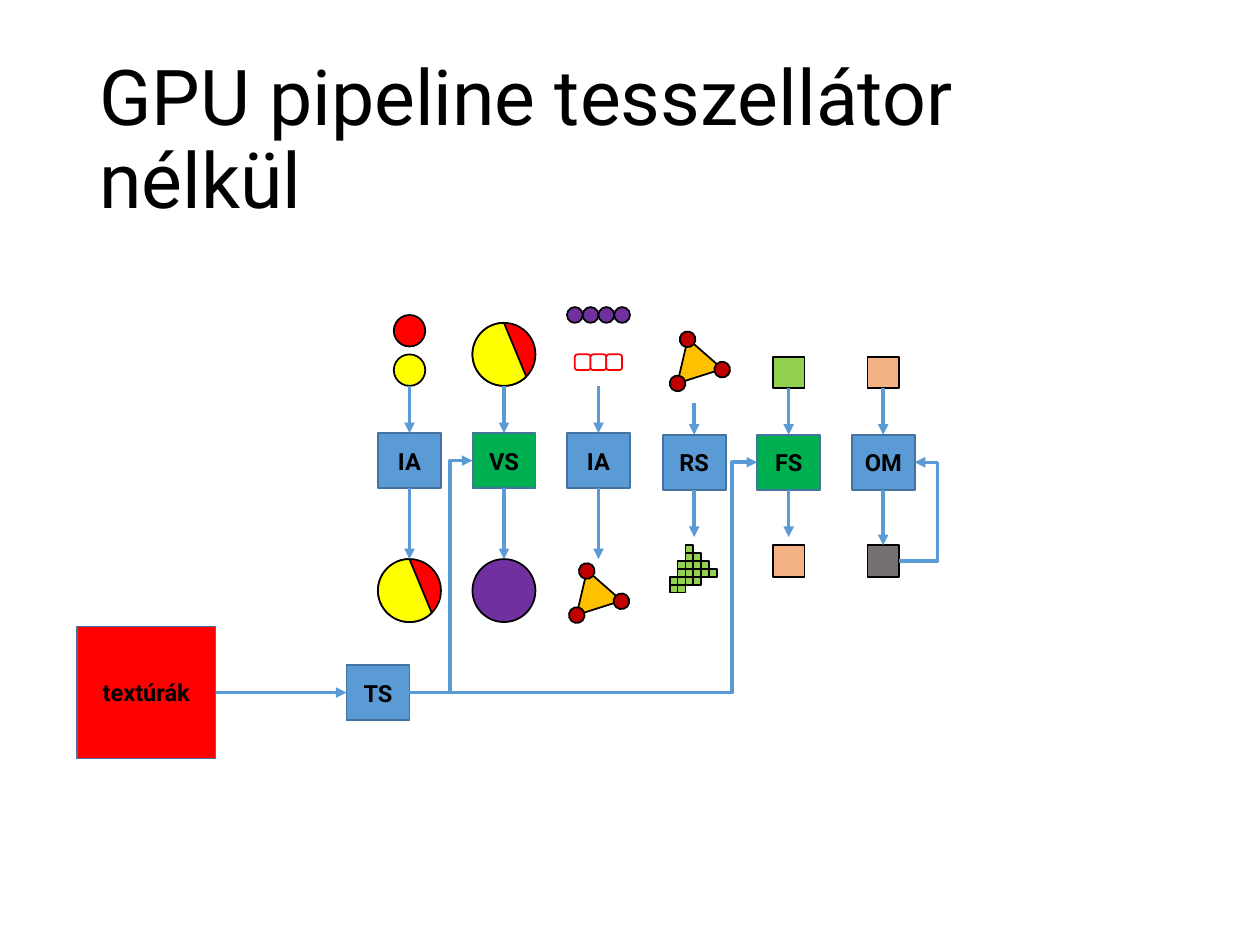
"""Build the slide showing the GPU pipeline without a tessellator."""
import lxml.etree
import pptx
import pptx.dml.color
import pptx.enum.shapes
import pptx.enum.text
import pptx.oxml.ns
import pptx.util

Pt = pptx.util.Pt
SHAPE = pptx.enum.shapes.MSO_SHAPE
CONNECTOR = pptx.enum.shapes.MSO_CONNECTOR
ALIGN = pptx.enum.text.PP_ALIGN
ANCHOR = pptx.enum.text.MSO_ANCHOR

TITLE = "GPU pipeline tesszellátor nélkül"
FONT = "Roboto"
BLACK, WHITE, RED, YELLOW = "000000", "FFFFFF", "FF0000", "FFFF00"
BLUE, EDGE, GREEN, PURPLE = "5B9BD5", "43739E", "00B050", "7030A0"
LIME, PEACH, GRAY = "92D050", "F4B183", "767171"
ORANGE, DARK_RED = "FFC000", "C00000"

PITCH, BOX_WIDTH, BOX_HEIGHT = 54, 36, 31.5
DISC, SQUARE, DOT, PIXEL = 36, 18, 9, 4.5
TILT = 342.3
# label, fill, left, top, start of input arrow, end of output arrow
STAGES = [
    ("IA", BLUE, 216, 247.5, 220.5, 319.5),
    ("VS", GREEN, 270, 247.5, 220.5, 319.5),
    ("IA", BLUE, 324, 247.5, 220.5, 319.5),
    ("RS", BLUE, 378.7, 248.4, 230.4, 306.9),
    ("FS", GREEN, 432.7, 248.4, 221.8, 306.9),
    ("OM", BLUE, 486.7, 248.4, 221.8, 311.6),
]
SPLIT_DISCS = [(216, 319.5), (270, 184.5)]
TRIANGLES = [(383, 193), (325.4, 325.4)]
CORNERS = [(5.4, -3.6), (-0.3, 21.6), (25.2, 13.7)]
FRAGMENT_ROWS = [(2, 2), (2, 3), (1, 4), (1, 5), (0, 3), (0, 1)]
FRAGMENT_LEFT, FRAGMENT_TOP = 382.7, 311.6
SQUARES = [(4, 203.8, LIME), (4, 311.6, PEACH), (5, 203.8, PEACH), (5, 311.6, GRAY)]


def color(value):
    return pptx.dml.color.RGBColor.from_string(value)


def add_run(paragraph, text, size, bold=False):
    run = paragraph.add_run()
    run.text = text
    run.font.name, run.font.size, run.font.bold = FONT, Pt(size), bold
    run.font.color.rgb = color(BLACK)


def draw(shapes, kind, left, top, width, height, fill, line=BLACK):
    shape = shapes.add_shape(kind, Pt(left), Pt(top), Pt(width), Pt(height))
    shape.shadow.inherit = False
    shape.fill.solid()
    shape.fill.fore_color.rgb = color(fill)
    shape.line.color.rgb = color(line)
    shape.line.width = Pt(1)
    return shape


def draw_box(shapes, label, left, top, width, height, fill):
    box = draw(shapes, SHAPE.RECTANGLE, left, top, width, height, fill, EDGE)
    frame = box.text_frame
    frame.margin_left = frame.margin_right = 0
    frame.vertical_anchor = ANCHOR.MIDDLE
    frame.paragraphs[0].alignment = ALIGN.CENTER
    add_run(frame.paragraphs[0], label, 13.5, True)
    return box


def side(shape, site):
    across, down = [(0.5, 0), (0, 0.5), (0.5, 1), (1, 0.5)][site]
    return int(shape.left + across * shape.width), int(shape.top + down * shape.height)


def draw_arrow(shapes, start, end, bend=None):
    """Join two ends, each a (shape, site) pair or an (x, y) point in points."""
    joined = [not isinstance(place[0], (int, float)) for place in (start, end)]
    (x1, y1), (x2, y2) = [
        side(*place) if is_shape else (Pt(place[0]), Pt(place[1]))
        for place, is_shape in zip((start, end), joined)
    ]
    kind = CONNECTOR.STRAIGHT if bend is None else CONNECTOR.ELBOW
    arrow = shapes.add_connector(kind, x1, y1, x2, y2)
    if joined[0]:
        arrow.begin_connect(*start)
    if joined[1]:
        arrow.end_connect(*end)
    arrow.line.color.rgb = color(BLUE)
    arrow.line.width = Pt(2)
    qn = pptx.oxml.ns.qn
    properties = arrow._element.spPr
    tail = lxml.etree.SubElement(properties.find(qn("a:ln")), qn("a:tailEnd"))
    tail.set("type", "triangle")
    lxml.etree.SubElement(properties, qn("a:effectLst"))
    if bend is not None:
        guides = properties.find(qn("a:prstGeom")).get_or_add_avLst()
        guide = lxml.etree.SubElement(guides, qn("a:gd"))
        guide.set("name", "adj1")
        guide.set("fmla", f"val {round(100000 * (Pt(bend) - x1) / (x2 - x1))}")


def draw_split_disc(shapes, left, top):
    group = shapes.add_group_shape().shapes
    for kind, fill in ((SHAPE.OVAL, RED), (SHAPE.CHORD, YELLOW)):
        draw(group, kind, left, top, DISC, DISC, fill)


def draw_triangle(shapes, left, top):
    group = shapes.add_group_shape().shapes
    parts = [draw(group, SHAPE.ISOSCELES_TRIANGLE, left, top, 27, 22.5, ORANGE)]
    for x, y in CORNERS:
        parts.append(draw(group, SHAPE.OVAL, left + x, top + y, DOT, DOT, DARK_RED))
    for part in parts:
        part.rotation = TILT


def add_title(slide):
    title = slide.shapes.title
    title.left, title.top, title.width, title.height = Pt(49.5), Pt(28.8), Pt(621), Pt(104.4)
    frame = title.text_frame
    frame.word_wrap = True
    frame.auto_size = pptx.enum.text.MSO_AUTO_SIZE.NONE
    frame.vertical_anchor = ANCHOR.MIDDLE
    paragraph = frame.paragraphs[0]
    paragraph.alignment = ALIGN.LEFT
    paragraph.line_spacing = 0.9
    add_run(paragraph, TITLE, 44)


def draw_data(shapes):
    for top, fill in ((180, RED), (202.5, YELLOW)):
        draw(shapes, SHAPE.OVAL, 225, top, SQUARE, SQUARE, fill)
    for left, top in SPLIT_DISCS:
        draw_split_disc(shapes, left, top)
    draw(shapes, SHAPE.OVAL, 270, 319.5, DISC, DISC, PURPLE)
    vertices = shapes.add_group_shape().shapes
    for index in range(4):
        draw(vertices, SHAPE.OVAL, 324 + index * DOT, 175.5, DOT, DOT, PURPLE)
    for index in range(3):
        draw(shapes, SHAPE.ROUNDED_RECTANGLE, 328.5 + index * DOT, 202.5, DOT, DOT, WHITE, RED)
    for left, top in TRIANGLES:
        draw_triangle(shapes, left, top)
    for row, (first, last) in enumerate(FRAGMENT_ROWS):
        for column in range(first, last + 1):
            draw(shapes, SHAPE.RECTANGLE, FRAGMENT_LEFT + column * PIXEL,
                 FRAGMENT_TOP + row * PIXEL, PIXEL, PIXEL, LIME)
    return [
        draw(shapes, SHAPE.RECTANGLE, 225.7 + column * PITCH, top, SQUARE, SQUARE, fill)
        for column, top, fill in SQUARES
    ]


def main():
    presentation = pptx.Presentation()
    presentation.slide_width, presentation.slide_height = Pt(720), Pt(540)
    slide = presentation.slides.add_slide(presentation.slide_layouts[5])
    shapes = slide.shapes
    add_title(slide)
    fragment, shaded, pixel, target = draw_data(shapes)
    sources = {4: (fragment, 2), 5: (pixel, 2)}
    results = {5: (target, 0)}

    stages = []
    for index, (label, fill, left, top, start, end) in enumerate(STAGES):
        stage = draw_box(shapes, label, left, top, BOX_WIDTH, BOX_HEIGHT, fill)
        center = left + BOX_WIDTH / 2
        draw_arrow(shapes, sources.get(index, (center, start)), (stage, 0))
        draw_arrow(shapes, (stage, 2), results.get(index, (center, end)))
        stages.append(stage)

    sampler = draw_box(shapes, "TS", 198, 380, BOX_WIDTH, BOX_HEIGHT, BLUE)
    textures = draw_box(shapes, "textúrák", 44, 358, 79.2, 75.5, RED)
    draw_arrow(shapes, (textures, 3), (sampler, 1))
    draw_arrow(shapes, (sampler, 3), (stages[1], 1), 257.1)
    draw_arrow(shapes, (sampler, 3), (stages[4], 1), 418.3)
    draw_arrow(shapes, (target, 3), (stages[5], 3), 535.7)
    presentation.save("out.pptx")


if __name__ == "__main__":
    main()
